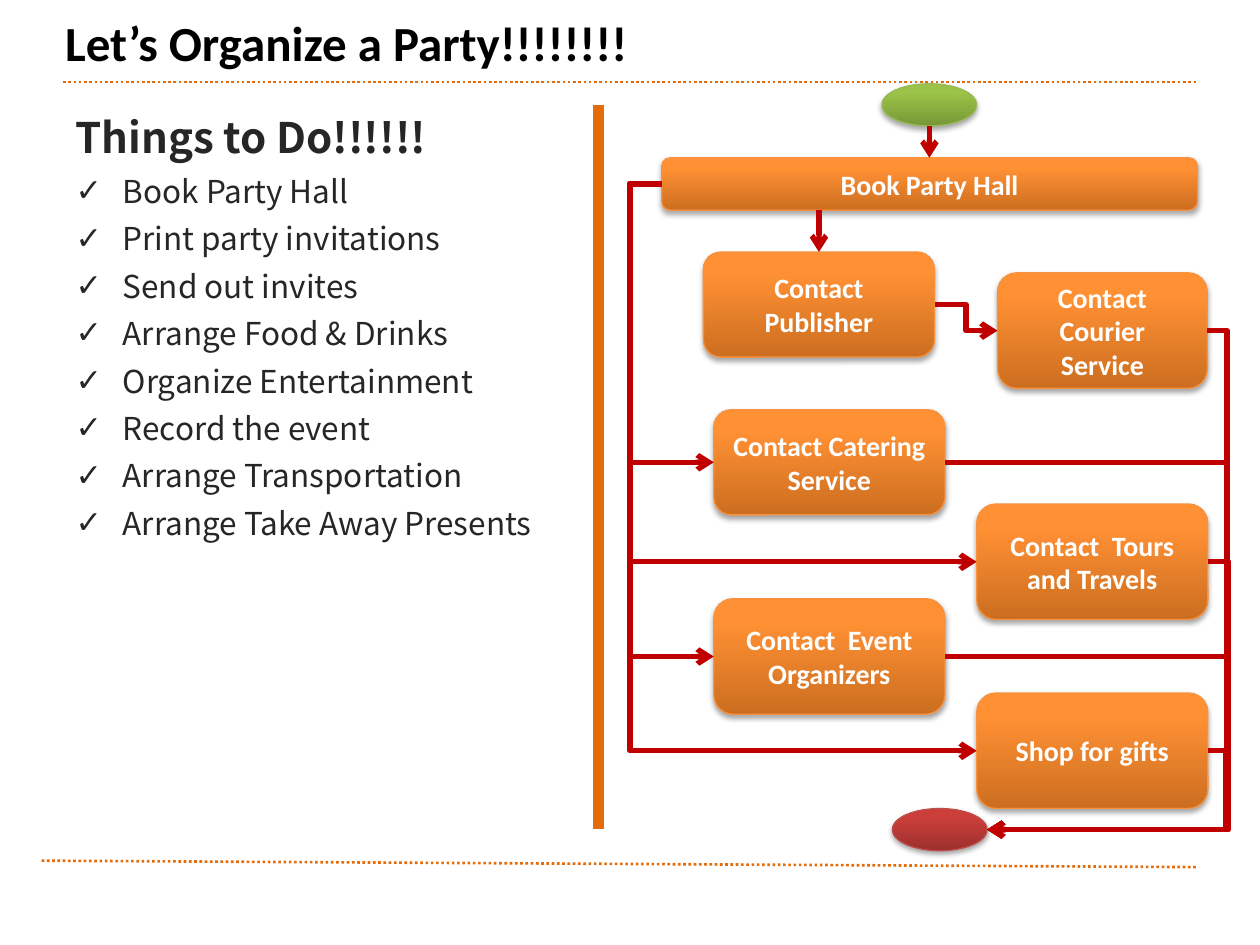
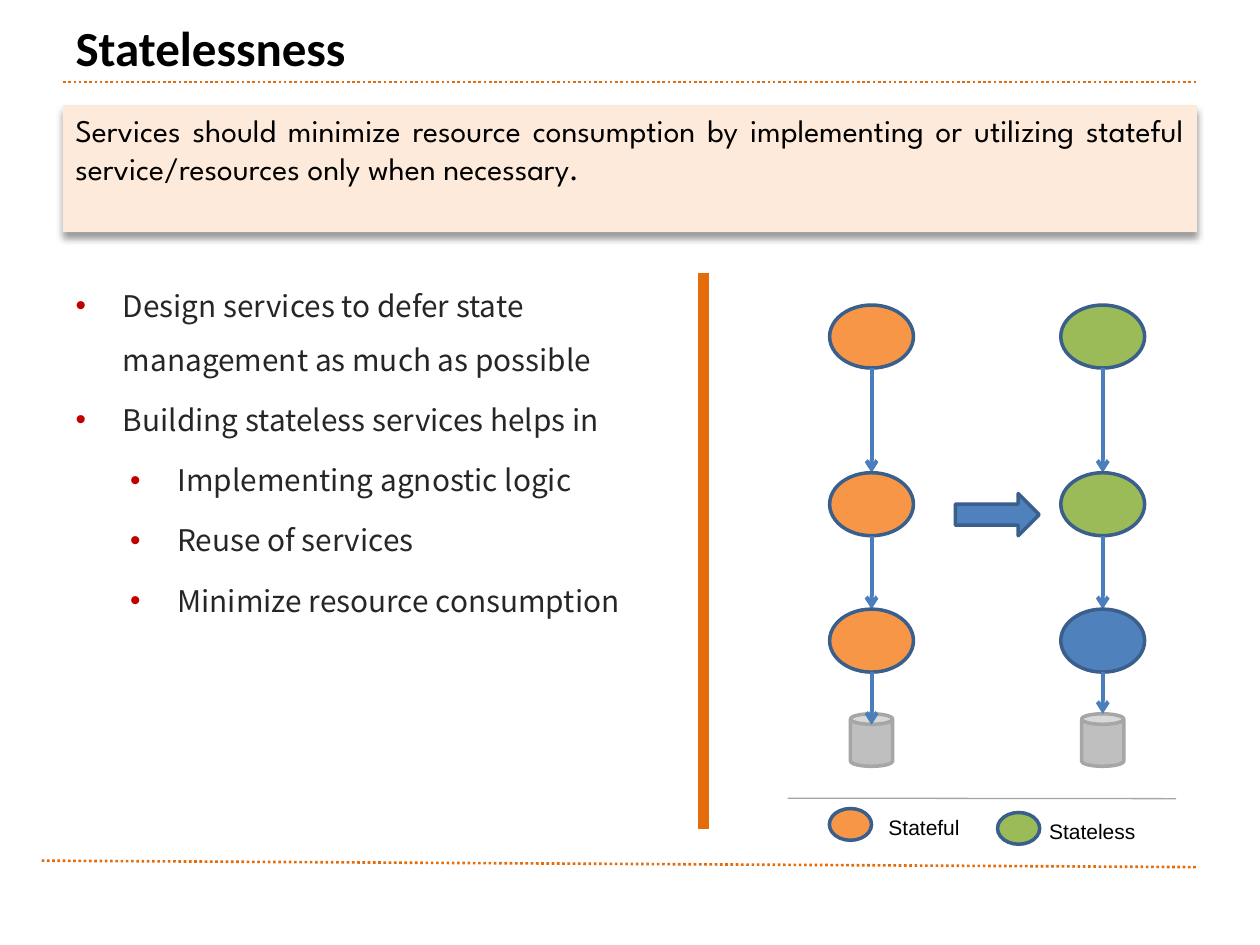
import pptx
import pptx.util
import pptx.dml.color
import pptx.enum.dml
import pptx.enum.shapes
import pptx.enum.text
import pptx.oxml
import pptx.oxml.ns

Cm = pptx.util.Cm
Pt = pptx.util.Pt
RGBColor = pptx.dml.color.RGBColor
Shape = pptx.enum.shapes.MSO_SHAPE
Connector = pptx.enum.shapes.MSO_CONNECTOR
Align = pptx.enum.text.PP_ALIGN
Anchor = pptx.enum.text.MSO_ANCHOR

BLACK = RGBColor(0x00, 0x00, 0x00)
WHITE = RGBColor(0xFF, 0xFF, 0xFF)
BODY_TEXT = RGBColor(0x26, 0x26, 0x26)
RULE_ORANGE = RGBColor(0xE4, 0x6C, 0x0A)
RED = RGBColor(0xC0, 0x00, 0x00)
PEACH = RGBColor(0xFD, 0xEA, 0xDA)
ORANGE = RGBColor(0xF7, 0x96, 0x46)
GREEN = RGBColor(0x9B, 0xBB, 0x59)
BLUE = RGBColor(0x4F, 0x81, 0xBD)
BLUE_EDGE = RGBColor(0x3A, 0x5F, 0x8C)
BLUE_ARROW = RGBColor(0x4B, 0x7E, 0xBC)
GRAY = RGBColor(0xBF, 0xBF, 0xBF)
GRAY_EDGE = RGBColor(0xA6, 0xA6, 0xA6)
ORANGE_GLOSS = (RGBColor(0xCC, 0x6E, 0x20), RGBColor(0xFF, 0x90, 0x34), RGBColor(0xF6, 0x92, 0x40))
GREEN_GLOSS = (RGBColor(0x77, 0x97, 0x37), RGBColor(0x9B, 0xC3, 0x48), RGBColor(0x98, 0xB9, 0x55))
RED_GLOSS = (RGBColor(0x9C, 0x2F, 0x2D), RGBColor(0xCB, 0x3E, 0x3A), RGBColor(0xBF, 0x4C, 0x48))

TITLE_FONT = "Calibri"
BODY_FONT = "Noto Sans CJK KR"
CALLOUT_FONT = "League Spartan"
LEGEND_FONT = "Arial"

PARTY_TITLE = "Let’s Organize a Party!!!!!!!!"
PARTY_HEADING = "Things to Do!!!!!!"
PARTY_TASKS = [
    "Book Party Hall", "Print party invitations", "Send out invites",
    "Arrange Food & Drinks", "Organize Entertainment", "Record the event",
    "Arrange Transportation", "Arrange Take Away Presents",
]
PARTY_STEPS = {
    "hall": ("Book Party Hall", (13.34, 3.18, 10.8, 1.06)),
    "publisher": ("Contact Publisher", (14.18, 5.08, 4.66, 2.12)),
    "courier": ("Contact Courier Service", (20.11, 5.5, 4.23, 2.33)),
    "catering": ("Contact Catering Service", (14.39, 8.26, 4.66, 2.12)),
    "events": ("Contact  Event Organizers", (14.39, 12.07, 4.66, 2.33)),
    "travel": ("Contact  Tours and Travels", (19.69, 10.16, 4.66, 2.33)),
    "gifts": ("Shop for gifts", (19.69, 13.97, 4.66, 2.33)),
}
START_BOX = (17.78, 1.69, 1.91, 0.85)
FINISH_BOX = (17.99, 16.3, 1.91, 0.85)
ENTRY_RAIL = 12.7
ENTRIES = ["catering", "events", "gifts", "travel"]
EXIT_RAILS = {"courier": 24.74, "travel": 24.77, "catering": 24.74, "events": 24.74, "gifts": 24.7}

STATE_TITLE = "Statelessness"
STATE_CALLOUT = ("Services should minimize resource consumption by implementing or "
                 "utilizing stateful service/resources only when necessary.")
STATE_POINTS = [
    (0, "Design services to defer state management as much as possible"),
    (0, "Building stateless services helps in"),
    (1, "Implementing agnostic logic"),
    (1, "Reuse of services"),
    (1, "Minimize resource consumption"),
]
NODE_WIDTH, NODE_HEIGHT = 1.69, 1.27
NODE_TOPS = [6.15, 9.53, 12.28]
CAN_TOP, CAN_WIDTH, CAN_HEIGHT = 14.39, 0.85, 1.06
STATE_COLUMNS = [
    (17.57, [ORANGE, ORANGE, ORANGE], 14.61),
    (22.23, [GREEN, GREEN, BLUE], CAN_TOP),
]
LEGEND = [
    ("Stateful", ORANGE, (16.72, 16.3), (17.36, 16.3)),
    ("Stateless", GREEN, (20.11, 16.38), (20.75, 16.38)),
]


def lengths(values):
    return [Cm(value) for value in values]


def add_xml(parent, tag, body="", **attributes):
    listed = " ".join(f'{name}="{value}"' for name, value in attributes.items())
    namespace = pptx.oxml.ns.nsdecls("a")
    parent.append(pptx.oxml.parse_xml(f"<a:{tag} {namespace} {listed}>{body}</a:{tag}>"))


def format_runs(paragraph, font, size, color, bold=False):
    for run in paragraph.runs:
        run.font.name = font
        run.font.size = Pt(size)
        run.font.color.rgb = color
        run.font.bold = bold


def add_line(slide, start, end, color, width, arrow=False, rail=None):
    kind = Connector.STRAIGHT if rail is None else Connector.ELBOW
    connector = slide.shapes.add_connector(kind, *lengths(start + end))
    connector.line.color.rgb = color
    connector.line.width = Pt(width)
    properties = connector.element.spPr
    if rail is not None:
        bend = round((rail - start[0]) / (end[0] - start[0]) * 100000)
        guides = properties.prstGeom.get_or_add_avLst()
        add_xml(guides, "gd", name="adj1", fmla=f"val {bend}")
    if arrow:
        add_xml(properties.ln, "tailEnd", type="arrow")
    add_xml(properties, "effectLst")
    return connector


def add_box(slide, kind, box, fill, edge=None, edge_width=2):
    shape = slide.shapes.add_shape(kind, *lengths(box))
    shape.shadow.inherit = False
    shape.fill.solid()
    shape.fill.fore_color.rgb = fill
    if edge is None:
        shape.line.fill.background()
    else:
        shape.line.color.rgb = edge
        shape.line.width = Pt(edge_width)
    return shape


def add_shadow(shape, opacity, blur, distance):
    color = f'<a:srgbClr val="000000"><a:alpha val="{opacity * 1000}"/></a:srgbClr>'
    effects = shape.element.spPr.find(pptx.oxml.ns.qn("a:effectLst"))
    add_xml(effects, "outerShdw", color, blurRad=int(Pt(blur)), dist=int(Pt(distance)),
            dir=5400000, rotWithShape=0)


def add_glossy(slide, kind, box, gloss):
    dark, light, edge = gloss
    shape = add_box(slide, kind, box, light, edge, 0.75)
    shape.fill.gradient()
    shape.fill.gradient_angle = 90
    for stop, color, position in zip(shape.fill.gradient_stops, (dark, light), (0, 0.8)):
        stop.color.rgb = color
        stop.position = position
    add_shadow(shape, 35, 3.1, 1.8)
    return shape


def place(placeholder, box):
    placeholder.left, placeholder.top, placeholder.width, placeholder.height = lengths(box)
    placeholder.text_frame.auto_size = pptx.enum.text.MSO_AUTO_SIZE.NONE


def add_slide(presentation, layout, title, title_box, body_box):
    slide = presentation.slides.add_slide(layout)
    place(slide.shapes.title, title_box)
    slide.shapes.title.text_frame.text = title
    slide.shapes.title.text_frame.vertical_anchor = Anchor.MIDDLE
    paragraph = slide.shapes.title.text_frame.paragraphs[0]
    paragraph.alignment = Align.LEFT
    format_runs(paragraph, TITLE_FONT, 28, BLACK, True)
    place(slide.placeholders[1], body_box)
    return slide


def write_list(placeholder, items):
    frame = placeholder.text_frame
    frame.text = "\n".join(item["text"] for item in items)
    for paragraph, item in zip(frame.paragraphs, items):
        level = item.get("level", 0)
        paragraph.level = level
        paragraph.line_spacing = Pt(item["line"])
        paragraph.space_before = Pt(item["before"])
        format_runs(paragraph, BODY_FONT, item["size"], BODY_TEXT, item.get("bold", False))
        properties = paragraph.runs[0]._r.getparent().get_or_add_pPr()
        properties.set("marL", str(int(Cm(0.95 + 1.1 * level))))
        properties.set("indent", str(int(Cm(-0.95))))
        if "bullet_color" in item:
            add_xml(properties, "buClr", f'<a:srgbClr val="{item["bullet_color"]}"/>')
        if "bullet" in item:
            add_xml(properties, "buChar", char=item["bullet"])
        else:
            add_xml(properties, "buNone")


def add_divider(slide, x, top):
    add_line(slide, (x, top), (x, 16.72), RULE_ORANGE, 6)


def add_layout_rules(slide, layout):
    rules = [((1.27, 1.65), (24.13, 1.65)), ((0.84, 17.35), (24.13, 17.48))]
    for number, (start, end) in enumerate(rules):
        rule = add_line(slide, start, end, RULE_ORANGE, 1.5)
        rule.line.dash_style = pptx.enum.dml.MSO_LINE.ROUND_DOT
        rule.element.nvCxnSpPr.cNvPr.set("id", str(101 + number))
        layout.shapes.element.append(rule.element)


def left_middle(box):
    return box[0], box[1] + box[3] / 2


def right_middle(box):
    return box[0] + box[2], box[1] + box[3] / 2


def build_party(slide):
    heading = {"text": PARTY_HEADING, "size": 24, "bold": True, "line": 29, "before": 4.8}
    tasks = [{"text": task, "size": 18, "line": 21.6, "before": 5.5, "bullet": "✓"}
             for task in PARTY_TASKS]
    write_list(slide.placeholders[1], [heading] + tasks)
    add_divider(slide, 12.07, 2.12)

    for label, box in PARTY_STEPS.values():
        shape = add_glossy(slide, Shape.ROUNDED_RECTANGLE, box, ORANGE_GLOSS)
        shape.text_frame.text = label
        shape.text_frame.word_wrap = True
        shape.text_frame.vertical_anchor = Anchor.MIDDLE
        paragraph = shape.text_frame.paragraphs[0]
        paragraph.alignment = Align.CENTER
        format_runs(paragraph, TITLE_FONT, 16, WHITE, True)
    add_glossy(slide, Shape.OVAL, START_BOX, GREEN_GLOSS)
    add_glossy(slide, Shape.OVAL, FINISH_BOX, RED_GLOSS)

    boxes = {name: box for name, (label, box) in PARTY_STEPS.items()}
    for upper, lower, center in [(START_BOX, boxes["hall"], START_BOX),
                                 (boxes["hall"], boxes["publisher"], boxes["publisher"])]:
        x = center[0] + center[2] / 2
        add_line(slide, (x, upper[1] + upper[3]), (x, lower[1]), RED, 3, True)

    start, end = right_middle(boxes["publisher"]), left_middle(boxes["courier"])
    routes = [(start, end, (start[0] + end[0]) / 2)]
    routes += [(left_middle(boxes["hall"]), left_middle(boxes[name]), ENTRY_RAIL)
               for name in ENTRIES]
    routes += [(right_middle(boxes[name]), right_middle(FINISH_BOX), rail)
               for name, rail in EXIT_RAILS.items()]
    for start, end, rail in routes:
        add_line(slide, start, end, RED, 3, True, rail)


def build_statelessness(slide):
    write_list(slide.placeholders[1], [
        {"text": text, "level": level, "size": 17, "line": 31, "before": 3.4,
         "bullet": "•", "bullet_color": RED} for level, text in STATE_POINTS])

    callout = add_box(slide, Shape.RECTANGLE, (1.27, 2.12, 22.86, 2.56), PEACH)
    add_shadow(callout, 40, 4, 3)
    callout.text_frame.text = STATE_CALLOUT
    callout.text_frame.word_wrap = True
    callout.text_frame.vertical_anchor = Anchor.TOP
    callout.text_frame.paragraphs[0].alignment = Align.JUSTIFY
    format_runs(callout.text_frame.paragraphs[0], CALLOUT_FONT, 18, BLACK)
    add_divider(slide, 14.18, 5.5)

    for center, colors, last_tip in STATE_COLUMNS:
        can_box = (center - CAN_WIDTH / 2, CAN_TOP, CAN_WIDTH, CAN_HEIGHT)
        add_box(slide, Shape.CAN, can_box, GRAY, GRAY_EDGE)
        for top, tip, color in zip(NODE_TOPS, NODE_TOPS[1:] + [last_tip], colors):
            node_box = (center - NODE_WIDTH / 2, top, NODE_WIDTH, NODE_HEIGHT)
            add_box(slide, Shape.OVAL, node_box, color, BLUE_EDGE)
            add_line(slide, (center, top + NODE_HEIGHT), (center, tip), BLUE_ARROW, 2.25, True)
    add_box(slide, Shape.RIGHT_ARROW, (19.26, 9.95, 1.69, 0.85), BLUE, BLUE_EDGE)

    add_line(slide, (15.88, 16.09), (23.71, 16.1), GRAY_EDGE, 0.75)
    for label, color, key_position, text_position in LEGEND:
        add_box(slide, Shape.OVAL, key_position + (0.85, 0.64), color, BLUE_EDGE)
        text_box = slide.shapes.add_textbox(*lengths(text_position + (2.54, 0.76)))
        text_box.text_frame.word_wrap = True
        text_box.text_frame.text = label
        text_box.text_frame.paragraphs[0].alignment = Align.CENTER
        format_runs(text_box.text_frame.paragraphs[0], LEGEND_FONT, 12, BLACK)


presentation = pptx.Presentation()
presentation.slide_width, presentation.slide_height = lengths((25.4, 19.05))
layout = presentation.slide_layouts[1]
party = add_slide(presentation, layout, PARTY_TITLE,
                  (1.06, 0.2, 22.65, 1.27), (1.27, 2.12, 22.86, 15.24))
add_layout_rules(party, layout)
build_party(party)
statelessness = add_slide(presentation, layout, STATE_TITLE,
                          (1.27, 0.16, 22.86, 1.57), (1.27, 5.29, 12.7, 11.01))
build_statelessness(statelessness)
presentation.save("out.pptx")
